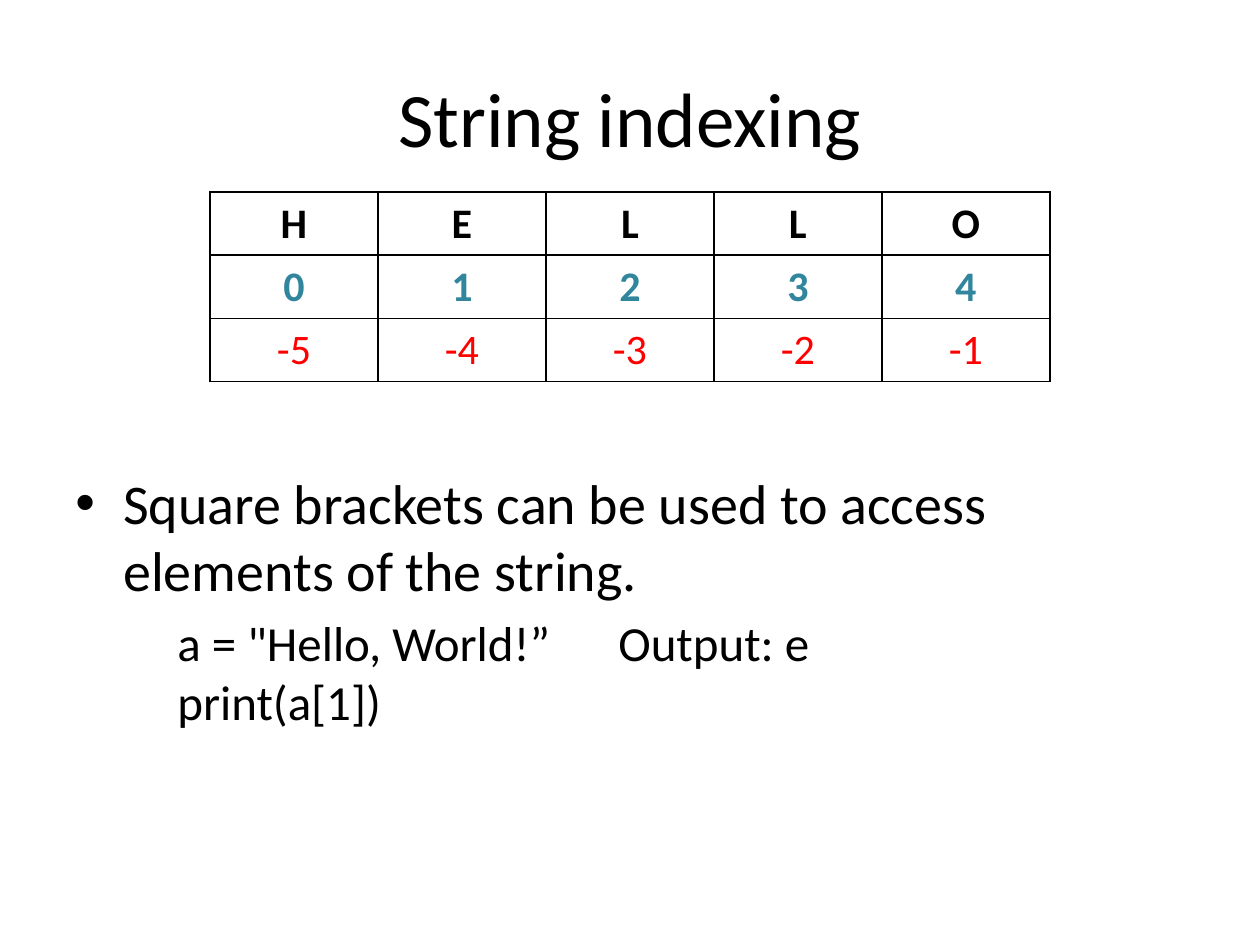
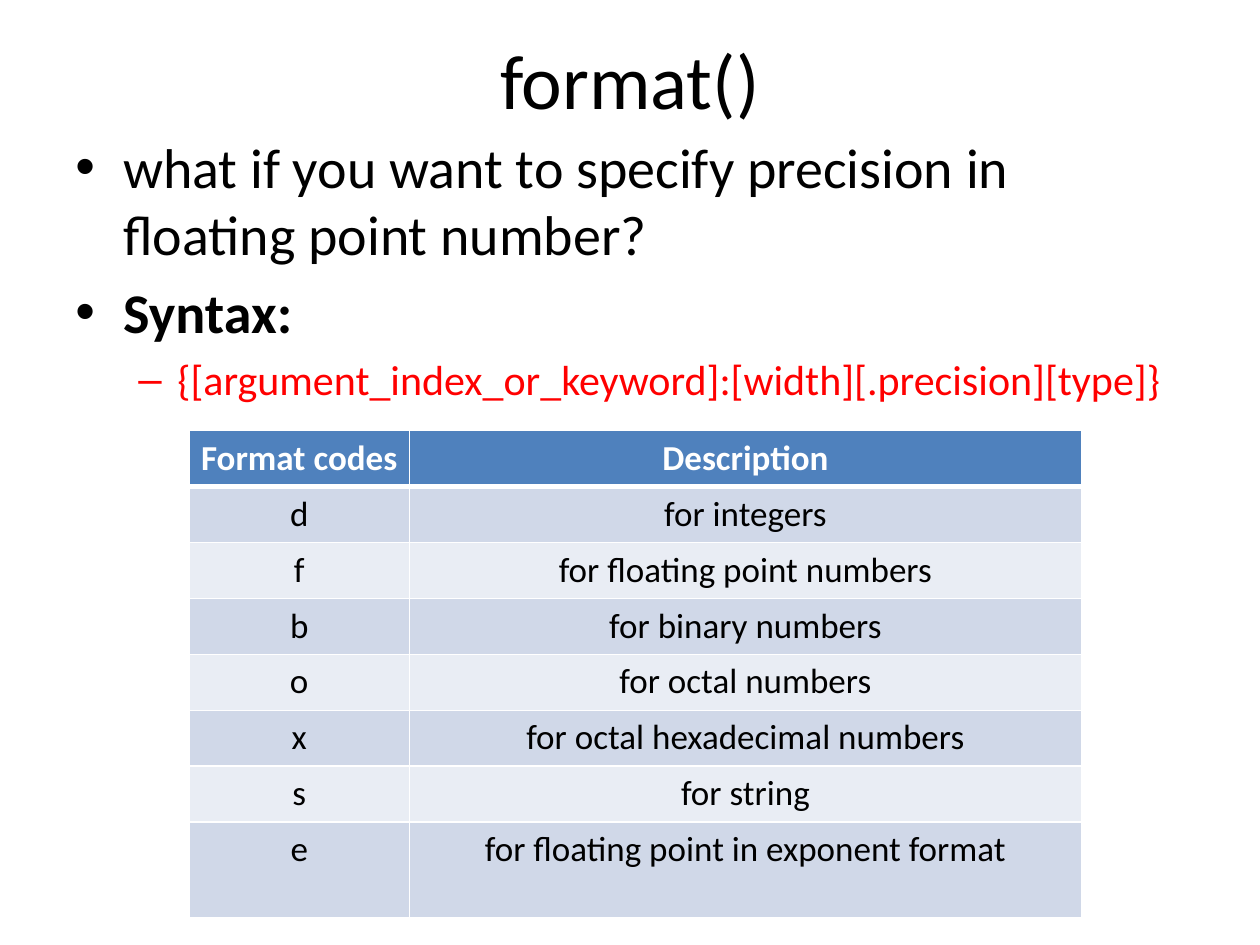
"""Builds two slides on string indexing and number format codes."""
import dataclasses

import lxml.etree
import pptx
import pptx.dml.color
import pptx.enum.text
import pptx.oxml.ns
import pptx.util

CENTER = pptx.enum.text.PP_ALIGN.CENTER
MIDDLE = pptx.enum.text.MSO_ANCHOR.MIDDLE
TOP = pptx.enum.text.MSO_ANCHOR.TOP
BOTTOM = pptx.enum.text.MSO_ANCHOR.BOTTOM


@dataclasses.dataclass(frozen=True)
class Theme:
    font: str = "Calibri"
    ink: str = "000000"
    paper: str = "FFFFFF"
    teal: str = "31859C"
    red: str = "FF0000"
    header: str = "4F81BD"
    bands: tuple = ("D0D8E8", "E9EDF4")
    title: int = 44
    body: int = 32
    code: int = 28
    syntax: int = 24
    index: int = 24
    listing: int = 20


@dataclasses.dataclass(frozen=True)
class Line:
    text: str
    size: int
    color: str
    bold: bool = False
    bullet: str = ""
    margin: float = 0.38
    hanging: float = 0.38


@dataclasses.dataclass(frozen=True)
class RowStyle:
    size: int
    color: str
    bold: bool = False
    fill: str = ""
    anchor: pptx.enum.text.MSO_ANCHOR = TOP
    border: str = "000000"
    bottom: float = 1
    inset: float = 0.1


class Deck:
    """Holds the style and the current slide, placed on a grid of 120 columns by 90 rows."""

    def __init__(self, theme):
        self.theme = theme
        self.show = pptx.Presentation()
        self.show.slide_width = pptx.util.Inches(10)
        self.show.slide_height = pptx.util.Inches(7.5)
        self.slide = None

    def x(self, columns):
        return round(self.show.slide_width * columns / 120)

    def y(self, rows):
        return round(self.show.slide_height * rows / 90)

    def box(self, left, top, width, height):
        return self.x(left), self.y(top), self.x(width), self.y(height)

    def style_runs(self, paragraph, size, color, bold=False):
        for run in paragraph.runs:
            run.font.name = self.theme.font
            run.font.size = pptx.util.Pt(size)
            run.font.bold = bold
            run.font.color.rgb = pptx.dml.color.RGBColor.from_string(color)

    def titled_slide(self, text, top):
        self.slide = self.show.slides.add_slide(self.show.slide_layouts[5])
        title = self.slide.shapes.title
        title.left, title.top, title.width, title.height = self.box(6, top, 108, 15)
        title.text_frame.text = text
        title.text_frame.vertical_anchor = MIDDLE
        heading = title.text_frame.paragraphs[0]
        heading.alignment = CENTER
        self.style_runs(heading, self.theme.title, self.theme.ink)

    def body(self, top, height, lines):
        frame = self.slide.shapes.add_textbox(*self.box(6, top, 108, height)).text_frame
        frame.word_wrap = True
        for number, line in enumerate(lines):
            paragraph = frame.add_paragraph() if number else frame.paragraphs[0]
            paragraph.text = line.text
            properties = paragraph._p.get_or_add_pPr()
            properties.set("marL", str(pptx.util.Inches(line.margin)))
            properties.set("indent", str(-pptx.util.Inches(line.hanging)))
            if line.bullet:
                font = lxml.etree.SubElement(properties, pptx.oxml.ns.qn("a:buFont"))
                font.set("typeface", "Arial")
                mark = lxml.etree.SubElement(properties, pptx.oxml.ns.qn("a:buChar"))
                mark.set("char", line.bullet)
            if number:
                paragraph.space_before = pptx.util.Pt(line.size * 0.2)
            self.style_runs(paragraph, line.size, line.color, line.bold)

    def table(self, left, top, widths, heights, rows, styles):
        area = self.box(left, top, sum(widths), sum(heights))
        grid = self.slide.shapes.add_table(len(rows), len(widths), *area).table
        grid.first_row = grid.horz_banding = False
        for column, width in zip(grid.columns, widths):
            column.width = self.x(width)
        for row, height, texts, style in zip(grid.rows, heights, rows, styles):
            row.height = self.y(height)
            for cell, text in zip(row.cells, texts):
                self.cell(cell, text, style)

    def cell(self, cell, text, style):
        cell.text_frame.text = text
        cell.vertical_anchor = style.anchor
        cell.margin_left = cell.margin_right = pptx.util.Inches(style.inset)
        cell.margin_top = cell.margin_bottom = pptx.util.Inches(0.05)
        label = cell.text_frame.paragraphs[0]
        label.alignment = CENTER
        self.style_runs(label, style.size, style.color, style.bold)
        if style.fill:
            cell.fill.solid()
            cell.fill.fore_color.rgb = pptx.dml.color.RGBColor.from_string(style.fill)
        else:
            cell.fill.background()
        properties = cell._tc.get_or_add_tcPr()
        for position, side in enumerate("LRTB"):
            edge = lxml.etree.Element(pptx.oxml.ns.qn("a:ln" + side))
            edge.set("w", str(pptx.util.Pt(style.bottom if side == "B" else 1)))
            paint = lxml.etree.SubElement(edge, pptx.oxml.ns.qn("a:solidFill"))
            color = lxml.etree.SubElement(paint, pptx.oxml.ns.qn("a:srgbClr"))
            color.set("val", style.border)
            properties.insert(position, edge)


def string_indexing(deck):
    theme = deck.theme
    deck.titled_slide("String indexing", 3.6)
    deck.body(44, 27, [
        Line("Square brackets can be used to access elements of the string.",
             theme.body, theme.ink, bullet="•"),
        Line('a = "Hello, World!”\t\tOutput: e\vprint(a[1])',
             theme.code, theme.ink, margin=0.81, hanging=0),
    ])
    word = "HELLO"
    rows = [
        list(word),
        [str(place) for place in range(len(word))],
        [str(place - len(word)) for place in range(len(word))],
    ]
    styles = [
        RowStyle(theme.index, theme.ink, True),
        RowStyle(theme.index, theme.teal, True),
        RowStyle(theme.index, theme.red),
    ]
    deck.table(20, 18.3, [16] * len(word), [6] * len(rows), rows, styles)


def format_codes(deck):
    theme = deck.theme
    deck.titled_slide("format()", 0)
    deck.body(12, 29, [
        Line("what if you want to specify precision in floating point number?",
             theme.body, theme.ink, bullet="•"),
        Line("Syntax:", theme.body, theme.ink, True, "•"),
        Line("{[argument_index_or_keyword]:[width][.precision][type]}",
             theme.syntax, theme.red, bullet="–", margin=0.81, hanging=0.31),
    ])
    rows = [
        ("Format codes", "Description"),
        ("d", "for integers"),
        ("f", "for floating point numbers"),
        ("b", "for binary numbers"),
        ("o", "for octal numbers"),
        ("x", "for octal hexadecimal numbers"),
        ("s", "for string"),
        ("e", "for floating point in exponent format"),
    ]
    header = RowStyle(theme.listing, theme.paper, True, theme.header, BOTTOM,
                      theme.paper, 3, 0.05)
    banded = [
        RowStyle(theme.listing, theme.ink, fill=theme.bands[number % 2],
                 border=theme.paper, inset=0.05)
        for number in range(len(rows) - 1)
    ]
    heights = [5.33] * (len(rows) - 1) + [9.1]
    deck.table(18, 41, [21, 64], heights, rows, [header] + banded)


def main():
    deck = Deck(Theme())
    string_indexing(deck)
    format_codes(deck)
    deck.show.save("out.pptx")


if __name__ == "__main__":
    main()
